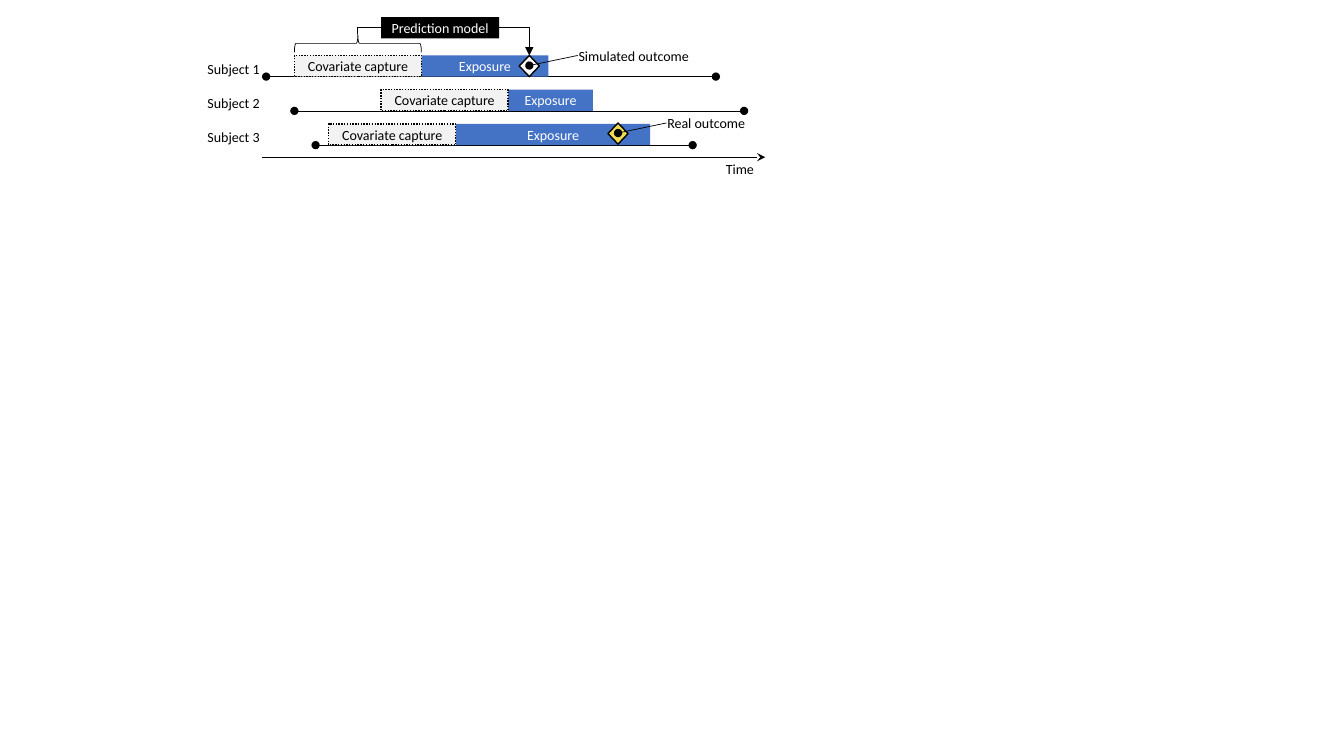
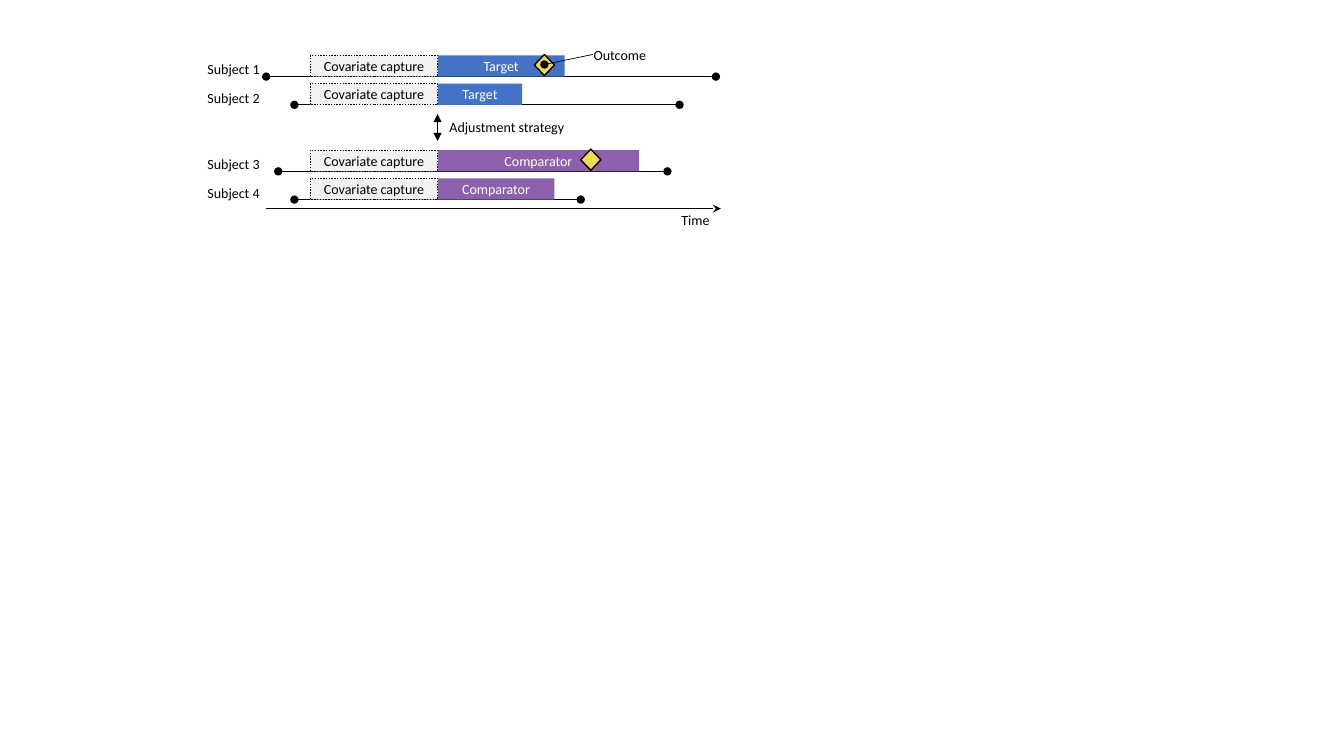
"""Build two timeline diagrams of subjects, exposures and outcomes."""

from dataclasses import dataclass

import lxml.etree
import pptx
import pptx.dml.color
import pptx.enum.dml
import pptx.enum.shapes
import pptx.enum.text
import pptx.oxml.ns
import pptx.shapes.autoshape
import pptx.shapes.connector
import pptx.slide
import pptx.util

EMU_PER_PX = 9144
FONT = "Calibri"
COLORS = {
    "ink": "000000",
    "paper": "FFFFFF",
    "capture": "F2F2F2",
    "target": "4472C4",
    "comparator": "8B60AC",
    "outcome": "EEDC54",
}
SUBJECT_LEFT = 196
BAR_HEIGHT = 21
CAPTURE_WIDTH = 126
DIAMOND_WIDTH = 20
LABEL_HEIGHT = 27

PRESET = pptx.enum.shapes.MSO_SHAPE
CONNECTOR = pptx.enum.shapes.MSO_CONNECTOR
ALIGN = pptx.enum.text.PP_ALIGN


@dataclass(frozen=True)
class Subject:
    name: str
    top: int
    followed_from: int
    followed_to: int
    index_date: int
    exposure: str
    exposure_width: int
    fill: str = "target"
    name_drop: int = 0


@dataclass(frozen=True)
class Outcome:
    left: int
    top: int
    label: str = ""
    label_width: int = 0
    fill: str = "outcome"


@dataclass(frozen=True)
class Timeline:
    left: int
    right: int
    top: int
    subjects: tuple[Subject, ...]
    outcomes: tuple[Outcome, ...]


PREDICTION = Timeline(
    260, 759, 156,
    (
        Subject("Subject 1", 55, 264, 710, 418, "Exposure", 126),
        Subject("Subject 2", 89, 292, 738, 504, "Exposure", 84),
        Subject("Subject 3", 123, 313, 687, 452, "Exposure", 193),
    ),
    (
        Outcome(515, 55, "Simulated outcome", 132, "paper"),
        Outcome(603, 122, "Real outcome", 99),
    ),
)
COMPARISON = Timeline(
    264, 715, 207,
    (
        Subject("Subject 1", 55, 264, 710, 434, "Target", 126),
        Subject("Subject 2", 83, 292, 674, 434, "Target", 84, name_drop=1),
        Subject("Subject 3", 149, 276, 662, 434, "Comparator", 200, "comparator"),
        Subject("Subject 4", 177, 292, 576, 434, "Comparator", 116, "comparator", 1),
    ),
    (Outcome(530, 54, "Outcome", 73), Outcome(576, 148)),
)


def px(length: int) -> pptx.util.Emu:
    """Turn whole pixels into EMU."""
    return pptx.util.Emu(length * EMU_PER_PX)


def rgb(name: str) -> pptx.dml.color.RGBColor:
    """Look up a named colour."""
    return pptx.dml.color.RGBColor.from_string(COLORS[name])


def write_text(
    frame: pptx.text.text.TextFrame,
    text: str,
    *,
    color: str = "ink",
    size: int = 10,
    align: ALIGN = ALIGN.LEFT,
) -> None:
    """Write one formatted paragraph."""
    paragraph = frame.paragraphs[0]
    paragraph.alignment = align
    run = paragraph.add_run()
    run.text = text
    run.font.name = FONT
    run.font.size = pptx.util.Pt(size)
    run.font.color.rgb = rgb(color)


def add_label(slide: pptx.slide.Slide, text: str, left: int, top: int, width: int) -> None:
    """Add a one-line label that fits its text."""
    label = slide.shapes.add_textbox(px(left), px(top), px(width), px(LABEL_HEIGHT))
    label.text_frame.word_wrap = False
    label.text_frame.auto_size = pptx.enum.text.MSO_AUTO_SIZE.SHAPE_TO_FIT_TEXT
    write_text(label.text_frame, text)


def add_block(
    slide: pptx.slide.Slide,
    preset: PRESET,
    left: int,
    top: int,
    width: int,
    height: int = BAR_HEIGHT,
    *,
    fill: str = "",
    outline: float = 0,
    dotted: bool = False,
    text: str = "",
    text_color: str = "paper",
) -> pptx.shapes.autoshape.Shape:
    """Add a preset shape with optional fill, outline and centred text."""
    block = slide.shapes.add_shape(preset, px(left), px(top), px(width), px(height))
    block.shadow.inherit = False
    if fill:
        block.fill.solid()
        block.fill.fore_color.rgb = rgb(fill)
    else:
        block.fill.background()
    if outline:
        block.line.color.rgb = rgb("ink")
        block.line.width = pptx.util.Pt(outline)
    else:
        block.line.fill.background()
    if dotted:
        block.line.dash_style = pptx.enum.dml.MSO_LINE.ROUND_DOT
    if text:
        frame = block.text_frame
        frame.margin_left = frame.margin_right = 0
        frame.vertical_anchor = pptx.enum.text.MSO_ANCHOR.MIDDLE
        write_text(frame, text, color=text_color, align=ALIGN.CENTER)
    return block


def add_line(
    slide: pptx.slide.Slide,
    start: tuple[int, int],
    end: tuple[int, int],
    *,
    head: str = "",
    tail: str = "",
    bent: bool = False,
) -> pptx.shapes.connector.Connector:
    """Add a thin straight or right-angled connector."""
    kind = CONNECTOR.ELBOW if bent else CONNECTOR.STRAIGHT
    line = slide.shapes.add_connector(kind, *map(px, start + end))
    line.line.color.rgb = rgb("ink")
    line.line.width = pptx.util.Pt(0.5)
    qn = pptx.oxml.ns.qn
    properties = line.element.spPr
    if bent:
        properties.find(qn("a:prstGeom")).set("prst", "bentConnector2")
    for tag, arrow in (("a:headEnd", head), ("a:tailEnd", tail)):
        if arrow:
            lxml.etree.SubElement(properties.find(qn("a:ln")), qn(tag), type=arrow)
    lxml.etree.SubElement(properties, qn("a:effectLst"))
    return line


def add_subject(slide: pptx.slide.Slide, subject: Subject) -> None:
    """Draw a subject's follow-up line, exposure and covariate capture."""
    base = subject.top + BAR_HEIGHT
    add_line(slide, (subject.followed_from, base), (subject.followed_to, base),
             head="oval", tail="oval")
    add_label(slide, subject.name, SUBJECT_LEFT, subject.top + subject.name_drop, 73)
    add_block(slide, PRESET.RECTANGLE, subject.index_date, subject.top,
              subject.exposure_width, fill=subject.fill, text=subject.exposure)
    add_block(slide, PRESET.RECTANGLE, subject.index_date - CAPTURE_WIDTH, subject.top,
              CAPTURE_WIDTH, fill="capture", outline=1, dotted=True,
              text="Covariate capture", text_color="ink")


def add_outcome(slide: pptx.slide.Slide, outcome: Outcome) -> pptx.shapes.autoshape.Shape:
    """Draw an outcome diamond and its callout, if it has one."""
    diamond = add_block(slide, PRESET.FLOWCHART_DECISION, outcome.left, outcome.top,
                        DIAMOND_WIDTH, fill=outcome.fill, outline=1)
    if outcome.label:
        add_label(slide, outcome.label, outcome.left + 49, outcome.top - 13,
                  outcome.label_width)
        add_line(slide, (outcome.left + 58, outcome.top),
                 (outcome.left + 10, outcome.top + 10), tail="oval")
    return diamond


def add_timeline(
    presentation: pptx.presentation.Presentation, timeline: Timeline
) -> tuple[pptx.slide.Slide, list[pptx.shapes.autoshape.Shape]]:
    """Add a slide with a time axis, subjects and outcomes."""
    slide = presentation.slides.add_slide(presentation.slide_layouts[6])
    add_line(slide, (timeline.left, timeline.top), (timeline.right, timeline.top),
             tail="stealth")
    add_label(slide, "Time", timeline.right - 49, timeline.top - 2, 48)
    for subject in timeline.subjects:
        add_subject(slide, subject)
    return slide, [add_outcome(slide, outcome) for outcome in timeline.outcomes]


def add_prediction_model(
    slide: pptx.slide.Slide, simulated: pptx.shapes.autoshape.Shape
) -> None:
    """Link the captured covariates through the model to the simulated outcome."""
    brace = add_block(slide, PRESET.RIGHT_BRACE, 346, -20, 18, CAPTURE_WIDTH, outline=0.5)
    brace.rotation = 270
    model = add_block(slide, PRESET.RECTANGLE, 378, 17, 117, fill="ink",
                      text="Prediction model")
    forecast = add_line(slide, (495, 27), (525, 55), tail="triangle", bent=True)
    forecast.begin_connect(model, 3)
    forecast.end_connect(simulated, 0)
    covariates = add_line(slide, (378, 27), (355, 34), bent=True)
    covariates.begin_connect(model, 1)
    covariates.end_connect(brace, 1)
    covariates.end_x, covariates.end_y = px(355), px(34)


def main() -> None:
    """Build and save the presentation."""
    presentation = pptx.Presentation()
    presentation.slide_width = pptx.util.Inches(13.33)
    presentation.slide_height = pptx.util.Inches(7.5)
    slide, outcomes = add_timeline(presentation, PREDICTION)
    add_prediction_model(slide, outcomes[0])
    slide, _ = add_timeline(presentation, COMPARISON)
    add_line(slide, (434, 113), (434, 140), head="triangle", tail="triangle")
    add_label(slide, "Adjustment strategy", 436, 113, 136)
    presentation.save("out.pptx")


if __name__ == "__main__":
    main()
